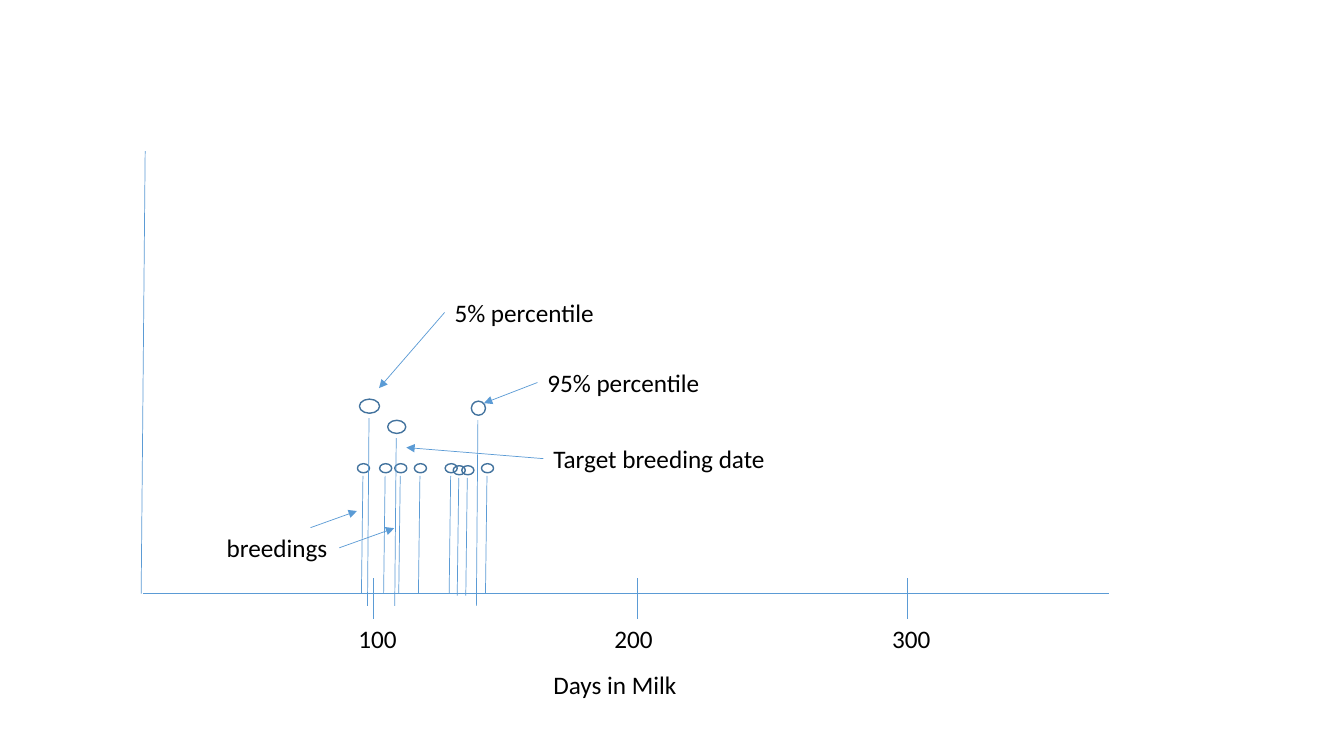
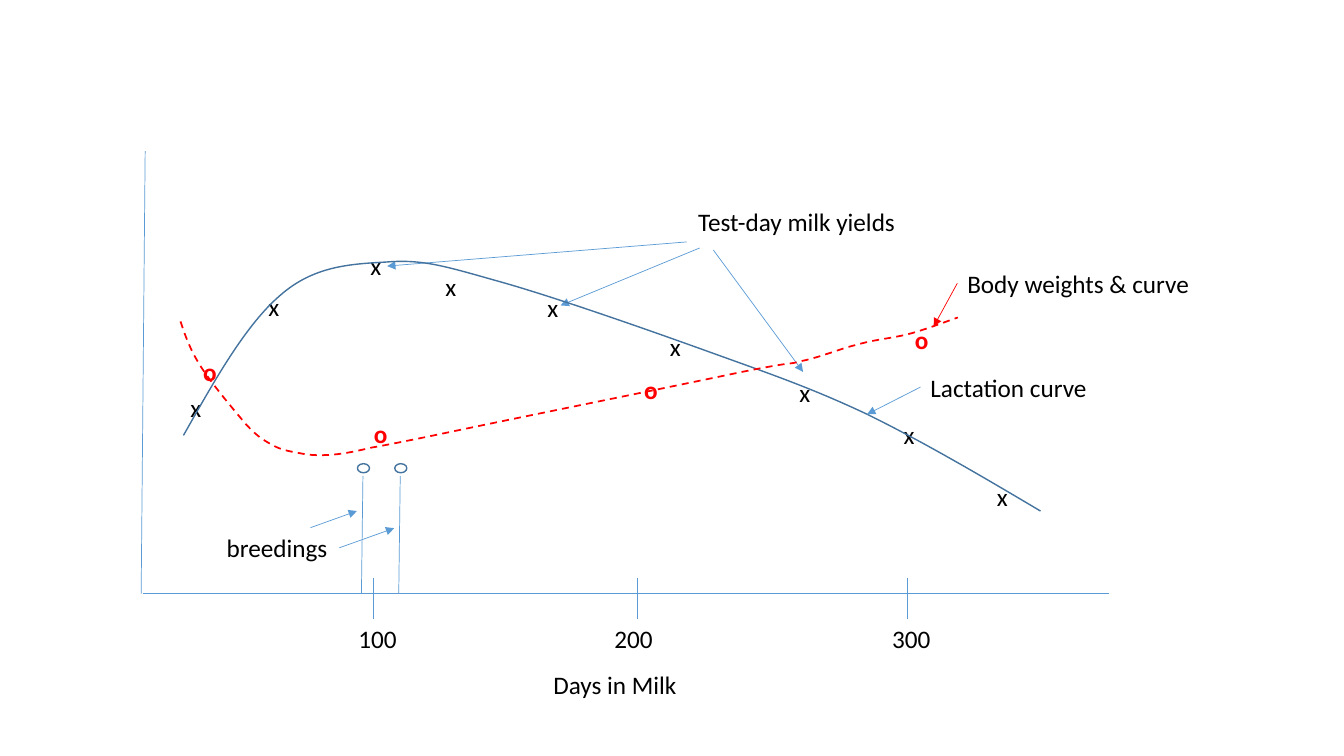
from dataclasses import dataclass

from lxml import etree
from pptx import Presentation, util as u
from pptx.dml.color import RGBColor
from pptx.enum import dml, shapes, text
from pptx.oxml import ns

BLUE, NAVY, RED = "5B9BD5", "43739E", "FF0000"
BLACK, WHITE = "000000", "FFFFFF"
FONT = "Calibri"
LABEL_ROWS = 4


@dataclass
class Plot:
    """Box with its origin at the lower left, divided into columns and rows."""
    page: object
    left: float = 1.4
    top: float = 1.5
    width: float = 9.6
    height: float = 4.39
    columns: float = 96
    rows: float = 43.9

    def across(self, columns):
        return u.Inches(columns * self.width / self.columns)

    def down(self, rows):
        return u.Inches(rows * self.height / self.rows)

    def point(self, column, row):
        return (u.Inches(self.left) + self.across(column),
                u.Inches(self.top) + self.down(self.rows - row))


def color(hex_text):
    return RGBColor.from_string(hex_text)


def add_label(plot, words, column, row, width, ink=BLACK, bold=False,
              wrap=True):
    box = plot.page.shapes.add_textbox(
        *plot.point(column, row), plot.across(width), plot.down(LABEL_ROWS))
    frame = box.text_frame
    frame.word_wrap = wrap
    frame.auto_size = text.MSO_AUTO_SIZE.SHAPE_TO_FIT_TEXT
    span = frame.paragraphs[0].add_run()
    span.text = words
    span.font.name, span.font.size, span.font.bold = FONT, u.Pt(18), bold
    span.font.color.rgb = color(ink)


def add_line(plot, start, end, ink=BLUE, arrow=False, parent=None):
    line = (parent or plot.page).shapes.add_connector(
        shapes.MSO_CONNECTOR.STRAIGHT, *plot.point(*start), *plot.point(*end))
    line.line.width = u.Pt(0.5)
    line.line.color.rgb = color(ink)
    properties = line._element.spPr
    if arrow:
        outline = properties.find(ns.qn("a:ln"))
        etree.SubElement(outline, ns.qn("a:tailEnd"), type="triangle")
    etree.SubElement(properties, ns.qn("a:effectLst"))


def style_outline(shape, ink, width, dash=None, fill=None):
    shape.shadow.inherit = False
    if fill:
        shape.fill.solid()
        shape.fill.fore_color.rgb = color(fill)
    else:
        shape.fill.background()
    shape.line.color.rgb = color(ink)
    shape.line.width = u.Pt(width)
    if dash:
        shape.line.dash_style = dash


def add_pin(plot, column, top=12.9, width=1.2, height=0.9, foot=0,
            fill=None):
    """A ring on a slightly leaning stem; a filled one is left ungrouped."""
    parent = plot.page if fill else plot.page.shapes.add_group_shape()
    add_line(plot, (column - 0.05, top - 1.35 * height),
             (column - 0.2, foot), parent=parent)
    ring = parent.shapes.add_shape(
        shapes.MSO_SHAPE.OVAL, *plot.point(column - width / 2, top),
        plot.across(width), plot.down(height))
    style_outline(ring, NAVY, 1, fill=fill)


def add_curve(plot, knots, ink, width, dash=None):
    """Knots hold a start, then two handles and an end for each piece."""
    dots = [plot.point(*knot) for knot in knots]
    builder = plot.page.shapes.build_freeform(*dots[0])
    builder.add_line_segments(dots[3::3], close=False)
    curve = builder.convert_to_shape()
    # Bend each straight piece with its two handles
    pieces = list(curve._element.iter(ns.qn("a:lnTo")))
    for piece, first, second in zip(pieces, dots[1::3], dots[2::3]):
        piece.tag = ns.qn("a:cubicBezTo")
        for place, (x, y) in enumerate((first, second)):
            handle = etree.Element(ns.qn("a:pt"), x=str(x - curve.left),
                                   y=str(y - curve.top))
            piece.insert(place, handle)
    style_outline(curve, ink, width, dash)


def draw_axes(plot):
    add_line(plot, (0.4, plot.rows), (0, 0))
    add_line(plot, (0.2, 0), (plot.columns, 0))
    for days, tick, label in ((100, 23.05, 20.55), (200, 49.2, 45.95),
                              (300, 76, 73.5)):
        add_line(plot, (tick, 1.55), (tick, -2.5))
        add_label(plot, str(days), label, -2.45, 6.9)
    add_label(plot, "Days in Milk", 39.9, -7, 14.4, wrap=False)


def draw_breedings(plot):
    add_pin(plot, 22.05)
    add_pin(plot, 25.75, fill=WHITE)
    add_label(plot, "breedings", 7.5, 6.55, 12.1, wrap=False)
    add_line(plot, (16.8, 6.55), (21.4, 8.2), arrow=True)
    add_line(plot, (19.65, 4.55), (25.1, 6.5), arrow=True)


def add_callout(plot, words, column, row, width, target, ink=BLUE,
                wrap=False):
    """A label with an arrow from the middle of its left edge."""
    add_label(plot, words, column, row, width, wrap=wrap)
    add_line(plot, (column, row - LABEL_ROWS / 2), target, ink, arrow=True)


def draw_breeding_dates(plot):
    draw_axes(plot)
    draw_breedings(plot)
    # Further breedings, two of them slightly lower
    for column, drop in ((24.25, 0), (27.7, 0), (30.75, 0), (32.4, 0.2),
                         (31.55, 0.2), (34.35, 0)):
        add_pin(plot, column, top=12.9 - drop, foot=-drop)
    # Percentiles and target date
    add_pin(plot, 22.65, 19.3, 2, 1.4, -1.2)
    add_pin(plot, 33.45, 19.1, 1.4, 1.4, -1.2)
    add_callout(plot, "5% percentile", 30.1, 29.9, 16, (23.6, 20.4))
    add_callout(plot, "95% percentile", 39.3, 22.95, 18.9, (34, 18.9),
                wrap=True)
    add_pin(plot, 25.35, 17.2, 1.8, 1.3, -1.2)
    add_callout(plot, "Target breeding date", 39.9, 15.4, 23.3, (26.3, 14.5))


MILK_YIELDS = ((3.9, 20.45), (11.65, 30.5), (21.75, 34.55), (29.2, 32.5),
               (39.3, 30.4), (51.45, 26.5), (64.3, 22), (74.65, 17.8),
               (83.9, 11.65))
BODY_WEIGHTS = ((5.15, 24), (22.1, 17.9), (48.9, 22.25), (75.75, 27.2))
LACTATION_CURVE = (
    (4.2, 15.7), (7.3, 21.2), (10.4, 26.7), (13.8, 29.6),
    (17.1, 32.5), (20.7, 32.7), (24.3, 32.9),
    (27.9, 33.2), (30.1, 32.5), (35.4, 31),
    (40.8, 29.5), (50.2, 26.2), (56.3, 24),
    (62.4, 21.8), (66.5, 20.4), (72, 17.8),
    (77.5, 15.1), (83.3, 11.7), (89.2, 8.2))
WEIGHT_CURVE = (
    (3.9, 27), (4.4, 25.5), (4.9, 24.1), (6, 22.4),
    (7.1, 20.7), (9.3, 18.1), (10.4, 16.8),
    (11.6, 15.5), (12.2, 15.2), (13.1, 14.7),
    (14, 14.2), (14.9, 14.1), (15.9, 13.9),
    (16.9, 13.7), (17.9, 13.7), (19.1, 13.8),
    (20.2, 13.9), (21.2, 14.1), (22.9, 14.5),
    (24.7, 14.8), (29.5, 15.8), (29.5, 15.8),
    (39.5, 17.9), (49.6, 19.9), (59.6, 22),
    (65.6, 23.2), (63.7, 22.6), (65.6, 23.1),
    (67.5, 23.5), (69.3, 24.3), (71, 24.7),
    (72.7, 25.2), (74.2, 25.3), (75.9, 25.7),
    (77.5, 26.1), (79.3, 26.8), (81, 27.4))


def draw_milk_and_weight(plot):
    draw_axes(plot)
    draw_breedings(plot)
    # Milk yields
    for column, row in MILK_YIELDS:
        add_label(plot, "x", column, row, 2.6)
    add_label(plot, "Test-day milk yields", 54.25, 38.9, 21.8, wrap=False)
    for start, end in (((54.1, 34.9), (24.4, 32.5)),
                       ((55.4, 34.3), (41.6, 28.6)),
                       ((56.75, 34.1), (65.65, 22))):
        add_line(plot, start, end, arrow=True)
    add_curve(plot, LACTATION_CURVE, NAVY, 1)
    add_callout(plot, "Lactation curve", 77.3, 22.5, 17.7, (72, 17.8))
    # Body weights
    for column, row in BODY_WEIGHTS:
        add_label(plot, "o", column, row, 2.9, ink=RED, bold=True)
    add_curve(plot, WEIGHT_CURVE, RED, 1.25, dml.MSO_LINE.DASH)
    add_callout(plot, "Body weights & curve", 80.95, 32.8, 25.8,
                (78.6, 26.5), ink=RED, wrap=True)


deck = Presentation()
deck.slide_width, deck.slide_height = u.Inches(13.33), u.Inches(7.5)
for draw in (draw_breeding_dates, draw_milk_and_weight):
    draw(Plot(deck.slides.add_slide(deck.slide_layouts[6])))
deck.save("out.pptx")
